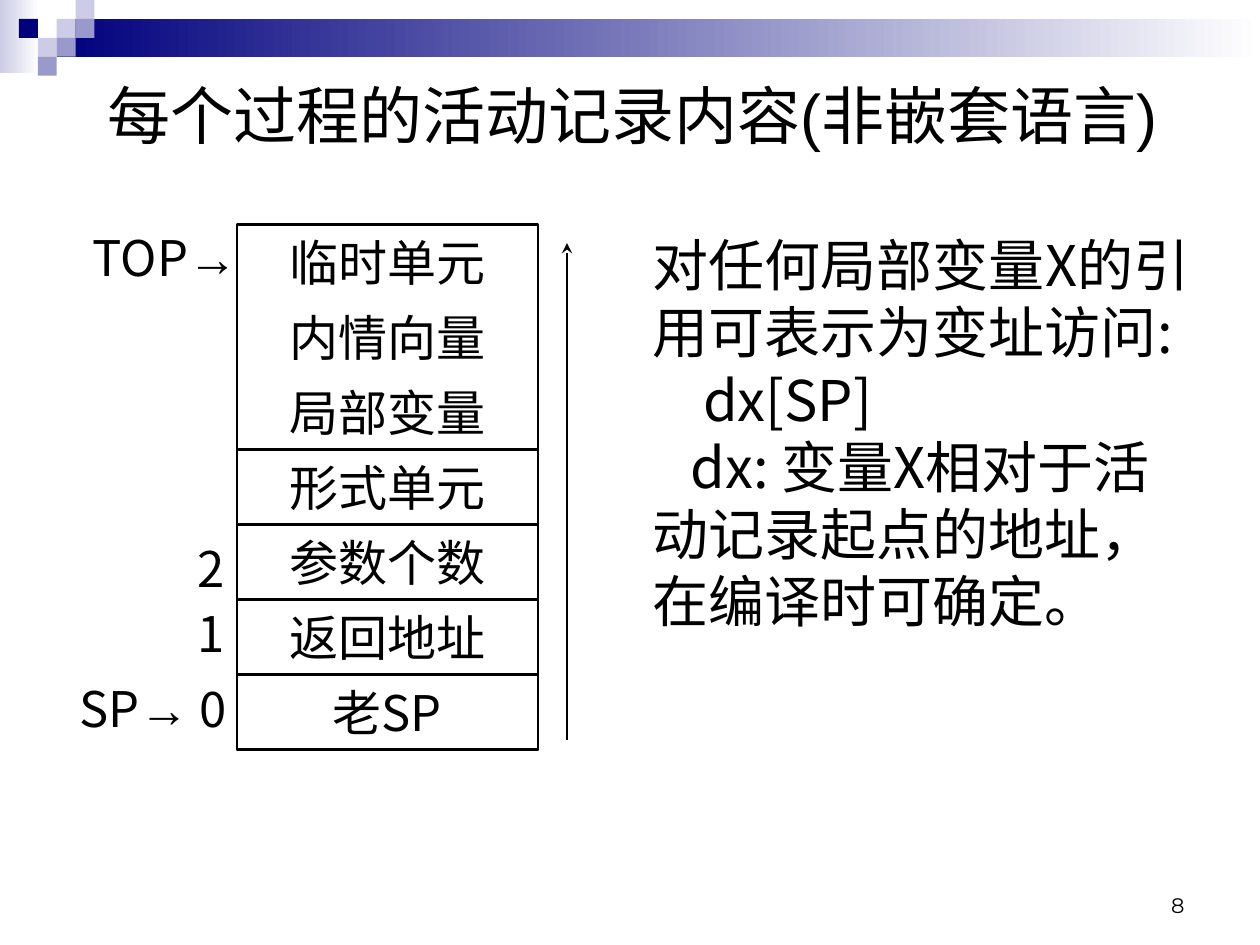
from collections import namedtuple

from lxml import etree
from pptx import Presentation
from pptx.dml.color import RGBColor
from pptx.enum.shapes import MSO_CONNECTOR, MSO_SHAPE
from pptx.enum.text import MSO_ANCHOR, MSO_AUTO_SIZE, PP_ALIGN
from pptx.oxml.ns import qn
from pptx.util import Inches, Pt

RECT = MSO_SHAPE.RECTANGLE
LEFT, CENTER, RIGHT = PP_ALIGN.LEFT, PP_ALIGN.CENTER, PP_ALIGN.RIGHT
TOP, MIDDLE, BOTTOM = MSO_ANCHOR.TOP, MSO_ANCHOR.MIDDLE, MSO_ANCHOR.BOTTOM

BLACK = RGBColor(0x00, 0x00, 0x00)
WHITE = RGBColor(0xFF, 0xFF, 0xFF)
NAVY = RGBColor(0x00, 0x00, 0x7D)
LILAC = RGBColor(0x99, 0x99, 0xCC)
PALE = RGBColor(0xCC, 0xCC, 0xE6)

CJK, LATIN, NUMBER_FONT = "Noto Sans CJK SC", "Arial", "Montserrat"

# All boxes are in inches.
Box = namedtuple("Box", "left top width height")
WIDTH, HEIGHT = 10, 7.5
TILE = 0.15
RECORD = Box(1.88, 1.78, 2.39, 4.17)
FIELDS = ["临时单元", "内情向量", "局部变量", "形式单元", "参数个数", "返回地址", "老SP"]
UNFRAMED = 3  # the first fields share one frame
ROW = RECORD.height / len(FIELDS)


def emu(box):
    return [Inches(length) for length in box]


def style_run(run, size, font=CJK):
    run.font.size = Pt(size)
    run.font.name = font
    run.font.color.rgb = BLACK
    east_asian = etree.Element(qn("a:ea"), typeface=CJK)
    run.font._element.find(qn("a:latin")).addnext(east_asian)


def set_frame(frame, anchor, wrap):
    frame.auto_size = MSO_AUTO_SIZE.NONE
    frame.vertical_anchor = anchor
    frame.word_wrap = wrap


def add_label(slide, box, parts, align=CENTER, size=28, anchor=MIDDLE):
    """Write one line made of (text, font) parts in a text box."""
    frame = slide.shapes.add_textbox(*emu(box)).text_frame
    set_frame(frame, anchor, False)
    paragraph = frame.paragraphs[0]
    paragraph.alignment = align
    for text, font in parts:
        run = paragraph.add_run()
        run.text = text
        style_run(run, size, font)


def add_frame(slide, box):
    frame = slide.shapes.add_shape(RECT, *emu(box))
    frame.shadow.inherit = False
    frame.fill.background()
    frame.line.color.rgb = BLACK
    frame.line.width = Pt(1.5)


def add_block(slide, box, color, fades=False):
    block = slide.shapes.add_shape(RECT, *emu(box))
    block.shadow.inherit = False
    block.line.fill.background()
    if fades:
        block.fill.gradient()
        block.fill.gradient_angle = 0
        for stop, shade, position in zip(block.fill.gradient_stops, (color, WHITE), (0, 1)):
            stop.color.rgb = shade
            stop.position = position
    else:
        block.fill.solid()
        block.fill.fore_color.rgb = color


def build_header(slide):
    """Draw the fading bars and the tiles, which lie on a square grid."""
    add_block(slide, Box(0, 0, 0.31, 0.58), PALE, fades=True)
    add_block(slide, Box(3 * TILE, TILE, WIDTH - 3 * TILE, 0.3), NAVY, fades=True)
    tiles = [(3, 1, PALE), (4, 0, PALE), (4, 1, LILAC), (2, 2, PALE),
             (1, 1, NAVY), (3, 2, LILAC), (2, 3, LILAC)]
    for column, row, color in tiles:
        add_block(slide, Box(column * TILE, row * TILE, TILE, TILE), color)


def build_title(slide, box):
    title = slide.shapes.title
    title.left, title.top, title.width, title.height = emu(box)
    title.text_frame.text = "每个过程的活动记录内容(非嵌套语言)"
    set_frame(title.text_frame, MIDDLE, True)
    heading = title.text_frame.paragraphs[0]
    heading.alignment = LEFT
    style_run(heading.runs[0], 36, LATIN)
    title._element.getparent().append(title._element)  # in front of the header


def build_record(slide, box):
    """Stack the fields of the activation record inside one outline."""
    add_frame(slide, box)
    for index, field in enumerate(FIELDS):
        cell = Box(box.left, box.top + index * ROW, box.width, ROW)
        if index >= UNFRAMED:
            add_frame(slide, cell)
        add_label(slide, cell, [(field, CJK)])


def build_offsets(slide, record):
    """Label the record's rows on its left side."""
    height = 0.52
    bottom_row = record.top + 6 * ROW
    add_label(slide, Box(record.left - 0.95, record.top, 0.76, height),
              [("TOP", CJK), ("→", LATIN)])
    add_label(slide, Box(record.left - 0.98, bottom_row, 0.63, height),
              [("SP", CJK), ("→", LATIN), (" 0", CJK)])
    for step, offset in enumerate("12", start=1):
        add_label(slide, Box(record.left - 0.63, bottom_row - 0.07 - step * height, 0.63, height),
                  [(offset, CJK)], RIGHT)


def build_growth_arrow(slide, record):
    x = record.left + record.width + 0.23
    ends = Box(x, record.top + record.height - 0.08, x, record.top + 0.15)
    arrow = slide.shapes.add_connector(MSO_CONNECTOR.STRAIGHT, *emu(ends))
    arrow.line.color.rgb = BLACK
    arrow.line.width = Pt(1.5)
    etree.SubElement(arrow.line._get_or_add_ln(), qn("a:tailEnd"), type="stealth")
    etree.SubElement(arrow._element.spPr, qn("a:effectLst"))


def build_explanation(slide, box):
    body = slide.placeholders[1]
    body.left, body.top, body.width, body.height = emu(box)
    lines = [("对任何局部变量X的引用可表示为变址访问:", 0),
             ("dx[SP]", 0.4),
             ("dx: 变量X相对于活动记录起点的地址，在编译时可确定。", 0.3)]
    frame = body.text_frame
    frame.text = "\n".join(text for text, _ in lines)
    set_frame(frame, TOP, True)
    for paragraph, (_, indent) in zip(frame.paragraphs, lines):
        properties = paragraph._p.get_or_add_pPr()
        properties.set("marL", "0")
        properties.set("indent", str(Inches(indent)))
        etree.SubElement(properties, qn("a:buNone"))
        paragraph.alignment = LEFT
        paragraph.space_before = Pt(0)
        style_run(paragraph.runs[0], 32)


def main():
    presentation = Presentation()
    presentation.slide_width, presentation.slide_height = Inches(WIDTH), Inches(HEIGHT)
    slide = presentation.slides.add_slide(presentation.slide_layouts[1])
    build_header(slide)
    build_title(slide, Box(0.75, 0.28, 8.82, 1.25))
    build_record(slide, RECORD)
    build_offsets(slide, RECORD)
    build_growth_arrow(slide, RECORD)
    build_explanation(slide, Box(5.08, RECORD.top, 4.5, 4.25))
    add_label(slide, Box(7.17, 6.83, 2.33, 0.5), [("8", NUMBER_FONT)], RIGHT, 12, BOTTOM)
    presentation.save("out.pptx")


if __name__ == "__main__":
    main()
